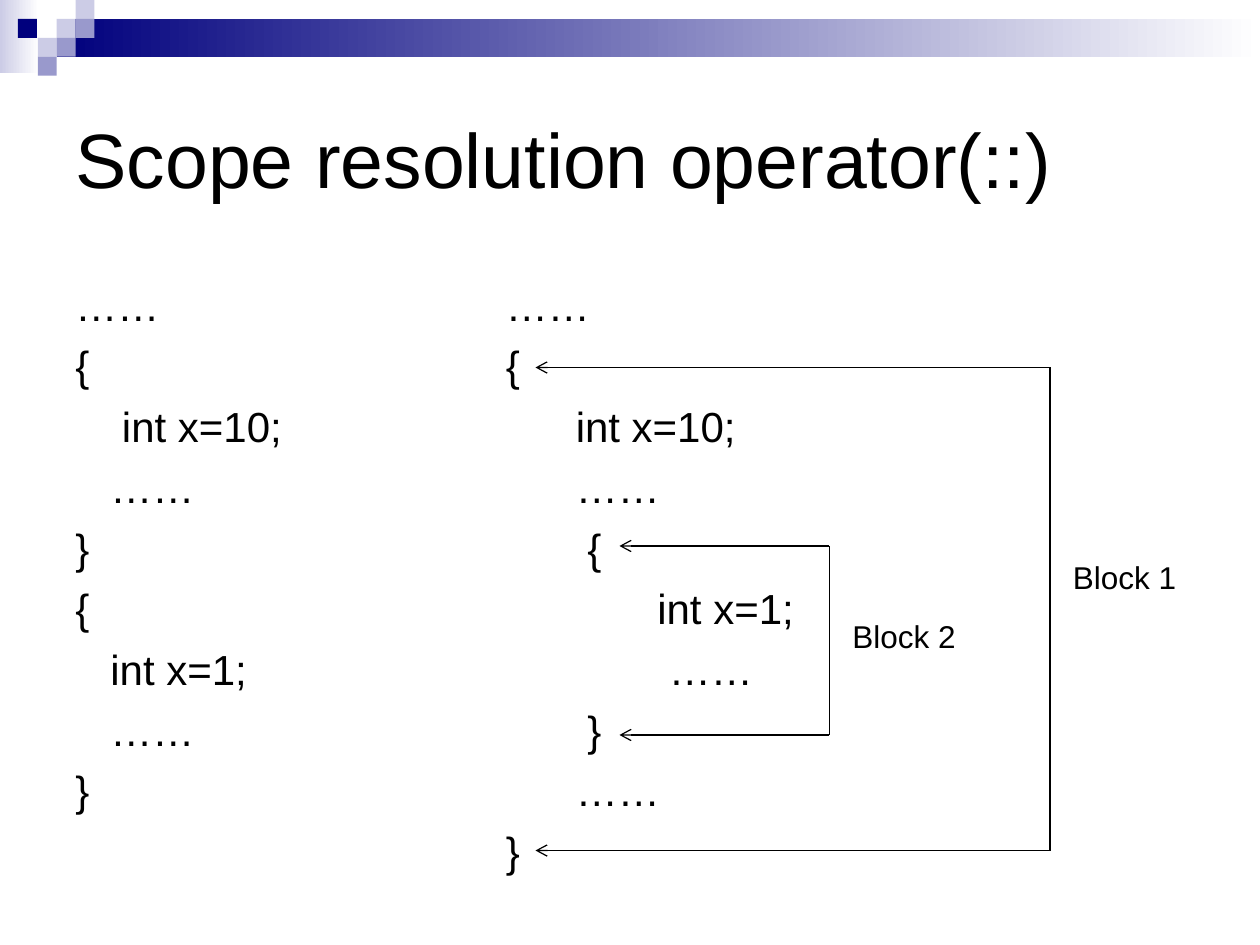
"""Build a slide on the scope resolution operator with two code listings and block brackets."""
from typing import NamedTuple

from lxml import etree
from pptx import Presentation
from pptx.dml.color import RGBColor
from pptx.enum.shapes import MSO_CONNECTOR as Connector, MSO_SHAPE as Preset
from pptx.enum.text import MSO_ANCHOR as Anchor, MSO_AUTO_SIZE as AutoSize, PP_ALIGN as Align
from pptx.oxml.ns import qn
from pptx.slide import Slide
from pptx.util import Pt

BLACK = RGBColor(0x00, 0x00, 0x00)
WHITE = RGBColor(0xFF, 0xFF, 0xFF)
NAVY = RGBColor(0x00, 0x00, 0x7D)
LAVENDER = RGBColor(0xCC, 0xCC, 0xE6)
PERIWINKLE = RGBColor(0x99, 0x99, 0xCC)
FONT_NAME = "Arial"
CELL = 10.8


class Box(NamedTuple):
    left: float
    top: float
    width: float
    height: float

    def lengths(self) -> list[Pt]:
        return [Pt(value) for value in self]


class Square(NamedTuple):
    column: float
    row: int
    color: RGBColor


class Listing(NamedTuple):
    box: Box
    lines: list[str]


class Bracket(NamedTuple):
    left: float
    right: float
    top: float
    bottom: float
    label: str
    label_top: float


TITLE_BOX = Box(36, 36, 648, 108)
GRADIENTS = [
    (Box(0, 0, 22.32, 41.76), LAVENDER),
    (Box(3 * CELL, CELL, 720 - 3 * CELL, 2 * CELL), NAVY),
]
SQUARES = [
    Square(3, 1, LAVENDER),
    Square(4, 0, LAVENDER),
    Square(4, 1, PERIWINKLE),
    Square(2, 2, LAVENDER),
    Square(0.95, 1, NAVY),
    Square(3, 2, PERIWINKLE),
    Square(2, 3, PERIWINKLE),
]
LISTINGS = [
    Listing(Box(36, 156, 228, 306), [
        "……",
        "{",
        "    int x=10;",
        "   ……",
        "}",
        "{",
        "   int x=1;",
        "   ……",
        "}",
    ]),
    Listing(Box(282, 156, 228, 306), [
        "……",
        "{",
        "      int x=10;",
        "      ……",
        "       {",
        "             int x=1;",
        "              ……",
        "       }",
        "      ……",
        "}",
    ]),
]
BRACKETS = [
    Bracket(306, 600, 210, 486, "Block 1", 318),
    Bracket(354, 474, 312, 420, "Block 2", 351.36),
]


def apply(target: object, values: dict) -> None:
    for name, value in values.items():
        setattr(target, name, value)


def write_lines(shape, lines: list[str], size: float, frame_format: dict,
                line_spacing: float = 1.0, gap: float = 0) -> None:
    frame = shape.text_frame
    apply(frame, {"word_wrap": True} | frame_format)
    for index, line in enumerate(lines):
        paragraph = frame.add_paragraph() if index else frame.paragraphs[0]
        paragraph.text = line
        apply(paragraph, {
            "alignment": Align.LEFT,
            "line_spacing": line_spacing,
            "space_before": Pt(gap if index else 0),
        })
        apply(paragraph.font, {"name": FONT_NAME, "size": Pt(size)})
        paragraph.font.color.rgb = BLACK


def add_rectangle(slide: Slide, box: Box, color: RGBColor, fading: bool = False) -> None:
    shape = slide.shapes.add_shape(Preset.RECTANGLE, *box.lengths())
    shape.shadow.inherit = False
    shape.line.fill.background()
    if fading:
        shape.fill.gradient()
        shape.fill.gradient_angle = 0
        for stop, stop_color, position in zip(shape.fill.gradient_stops, (color, WHITE), (0, 1)):
            stop.color.rgb = stop_color
            stop.position = position
    else:
        shape.fill.solid()
        shape.fill.fore_color.rgb = color


def add_line(slide: Slide, start: tuple, end: tuple, arrow: bool = False) -> None:
    points = [Pt(value) for value in (*start, *end)]
    connector = slide.shapes.add_connector(Connector.STRAIGHT, *points)
    connector.line.width = Pt(0.75)
    connector.line.color.rgb = BLACK
    properties = connector.line._get_or_add_ln()
    if arrow:
        etree.SubElement(properties, qn("a:tailEnd"), type="arrow")
    etree.SubElement(properties.getparent(), qn("a:effectLst"))


def add_bracket(slide: Slide, bracket: Bracket) -> None:
    for level in (bracket.top, bracket.bottom):
        add_line(slide, (bracket.right, level), (bracket.left, level), arrow=True)
    add_line(slide, (bracket.right, bracket.top), (bracket.right, bracket.bottom))
    label_box = Box(bracket.right + 6, bracket.label_top, 84, 26.64)
    label = slide.shapes.add_textbox(*label_box.lengths())
    write_lines(label, [bracket.label], 18, {"auto_size": AutoSize.SHAPE_TO_FIT_TEXT}, 0.9)


def main() -> None:
    presentation = Presentation()
    apply(presentation, {"slide_width": Pt(720), "slide_height": Pt(540)})
    slide = presentation.slides.add_slide(presentation.slide_layouts[5])
    for box, color in GRADIENTS:
        add_rectangle(slide, box, color, fading=True)
    for square in SQUARES:
        box = Box(square.column * CELL, square.row * CELL, CELL, CELL)
        add_rectangle(slide, box, square.color)
    title = slide.shapes.title
    apply(title, dict(zip(Box._fields, TITLE_BOX.lengths())))
    write_lines(title, ["Scope resolution operator(::)"], 44, {"vertical_anchor": Anchor.MIDDLE})
    for listing in LISTINGS:
        text_box = slide.shapes.add_textbox(*listing.box.lengths())
        write_lines(text_box, listing.lines, 24, {"vertical_anchor": Anchor.TOP}, gap=5.9)
    for bracket in BRACKETS:
        add_bracket(slide, bracket)
    presentation.save("out.pptx")


if __name__ == "__main__":
    main()
